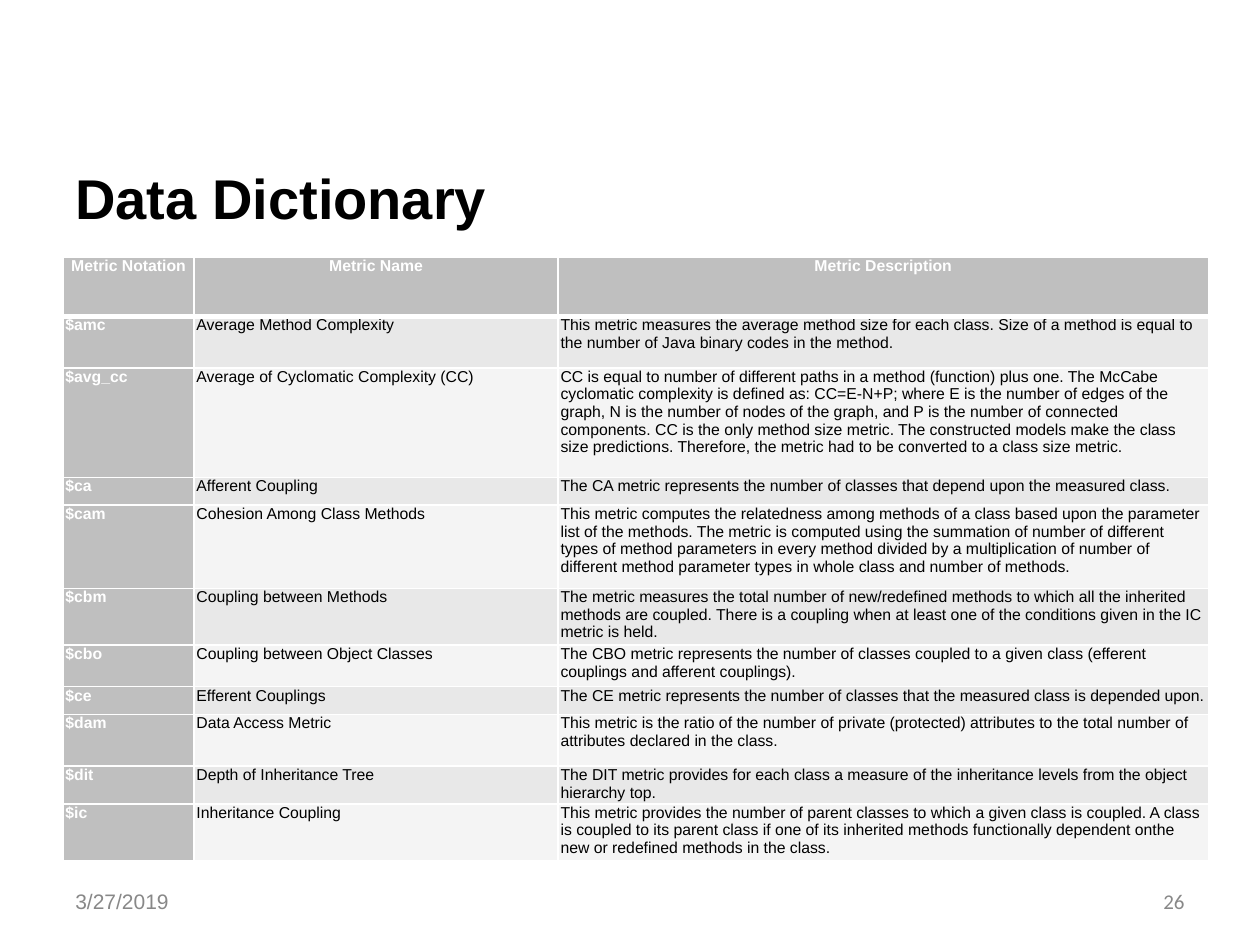
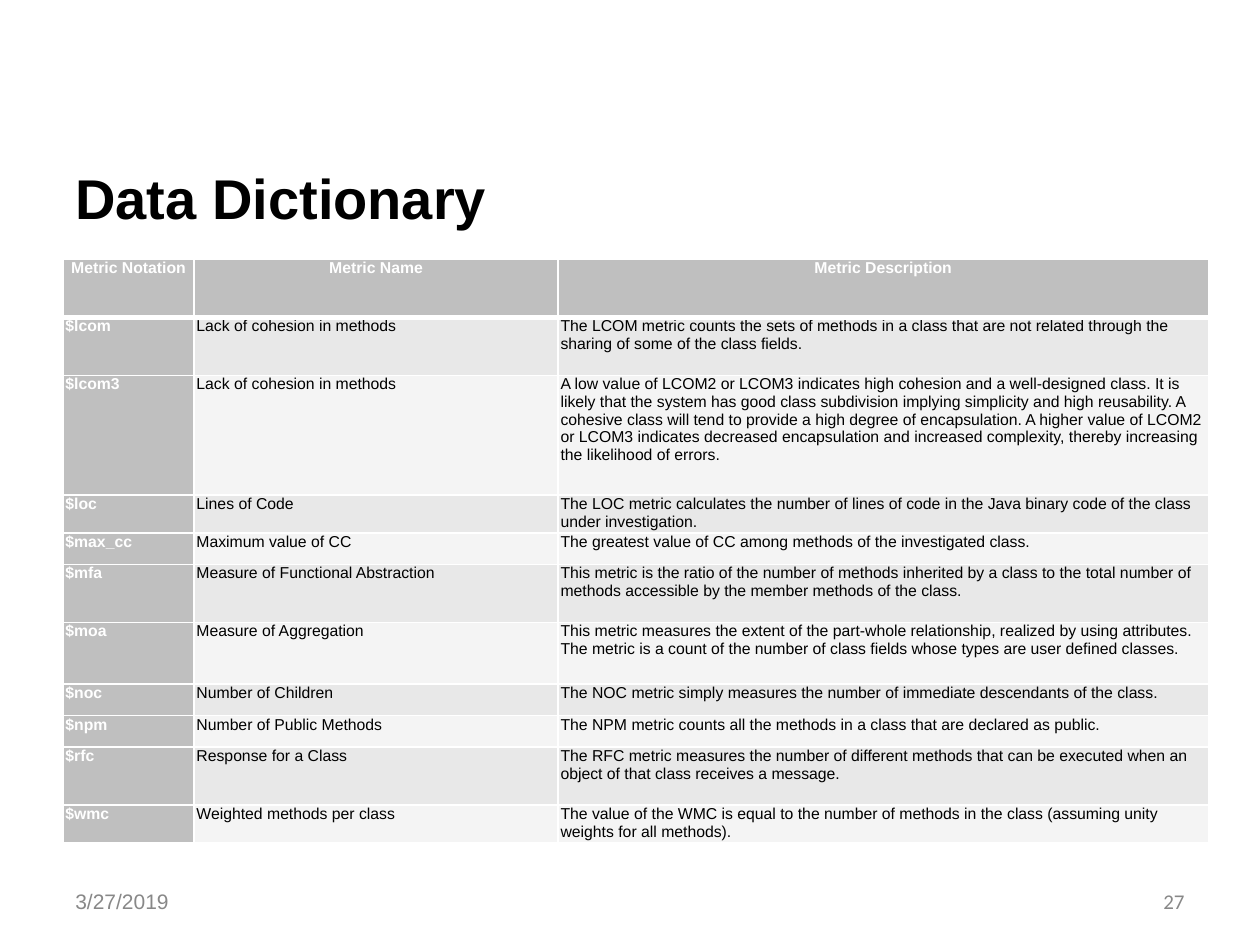
from pptx import Presentation
from pptx.dml.color import RGBColor
from pptx.enum.text import MSO_ANCHOR, PP_ALIGN
from pptx.oxml.ns import qn
from pptx.util import Inches, Pt
from lxml.etree import SubElement

COLORS = {
    "title": "000000",
    "body": "000000",
    "footer": "888888",
    "heading": "FFFFFF",
    "border": "FFFFFF",
    "key": "BFBFBF",
    "odd_row": "E8E8E8",
    "even_row": "F4F4F4",
}
COLUMN_WIDTHS = [1.04, 2.89, 5.16]
HEADINGS = ("Metric Notation", "Metric Name", "Metric Description")
LEFT = 0.5


class Deck:
    """Holds the shared style and the current slide."""

    def __init__(self):
        self.presentation = Presentation()
        self.presentation.slide_width = Inches(10)
        self.presentation.slide_height = Inches(7.5)
        self.slide = None

    def add_slide(self, title, date, number):
        blank = self.presentation.slide_layouts[6]
        self.slide = self.presentation.slides.add_slide(blank)
        self.text(title, (LEFT, 0.98, 9, 1.17), 32, "title", bold=True)
        self.text(date, (LEFT, 6.95, 2.33, 0.4), 12, "footer")
        self.text(str(number), (7.17, 6.95, 2.33, 0.4), 12, "footer",
                  font="Calibri", align=PP_ALIGN.RIGHT, inset=0.05)

    def format(self, text_frame, size, color, font="Arial", bold=False,
               align=PP_ALIGN.LEFT):
        for paragraph in text_frame.paragraphs:
            paragraph.alignment = align
            for run in paragraph.runs:
                run.font.name = font
                run.font.size = Pt(size)
                run.font.bold = bold
                run.font.color.rgb = RGBColor.from_string(COLORS[color])

    def text(self, text, box, size, color, inset=0.1, **style):
        shape = self.slide.shapes.add_textbox(*map(Inches, box))
        frame = shape.text_frame
        frame.word_wrap = True
        frame.vertical_anchor = MSO_ANCHOR.MIDDLE
        frame.margin_left = frame.margin_right = Inches(0.1)
        frame.margin_top = frame.margin_bottom = Inches(inset)
        frame.text = text
        self.format(frame, size, color, **style)

    def borders(self, cell, bottom=1):
        properties = cell._tc.get_or_add_tcPr()
        for side, width in (("L", 1), ("R", 1), ("T", 1), ("B", bottom)):
            line = SubElement(properties, qn(f"a:ln{side}"), w=str(Pt(width)))
            fill = SubElement(line, qn("a:solidFill"))
            SubElement(fill, qn("a:srgbClr"), val=COLORS["border"])

    def cell(self, cell, text, fill, bottom=1, **style):
        cell.margin_left = cell.margin_right = Inches(0.02)
        cell.margin_top = cell.margin_bottom = 0
        cell.text = text
        self.format(cell.text_frame, 9, **style)
        self.borders(cell, bottom)
        cell.fill.solid()
        cell.fill.fore_color.rgb = RGBColor.from_string(COLORS[fill])

    def metric_table(self, top, row_heights, metrics):
        frame = self.slide.shapes.add_table(
            len(metrics) + 1, len(HEADINGS), Inches(LEFT), Inches(top),
            Inches(sum(COLUMN_WIDTHS)), Inches(sum(row_heights)))
        table = frame.table
        table.horz_banding = False
        for column, width in zip(table.columns, COLUMN_WIDTHS):
            column.width = Inches(width)
        for row, height in zip(table.rows, row_heights):
            row.height = Inches(height)

        # Header row, closed by a thick line
        for column, heading in enumerate(HEADINGS):
            self.cell(table.cell(0, column), heading, "key", bottom=3,
                      color="heading", bold=True, align=PP_ALIGN.CENTER)

        # Metric rows: key column, then alternating bands
        for row, metric in enumerate(metrics, start=1):
            band = "odd_row" if row % 2 else "even_row"
            for column, text in enumerate(metric):
                is_key = column == 0
                self.cell(table.cell(row, column), text,
                          "key" if is_key else band,
                          color="heading" if is_key else "body", bold=is_key)


METRICS_A_TO_I = [
    ("$amc", "Average Method Complexity",
     "This metric measures the average method size for each class. Size of a "
     "method is equal to the number of Java binary codes in the method."),
    ("$avg_cc", "Average of Cyclomatic Complexity (CC)",
     "CC is equal to number of different paths in a method (function) plus "
     "one. The McCabe cyclomatic complexity is defined as: CC=E-N+P; where E "
     "is the number of edges of the graph, N is the number of nodes of the "
     "graph, and P is the number of connected components. CC is the only "
     "method size metric. The constructed models make the class size "
     "predictions. Therefore, the metric had to be converted to a class size "
     "metric."),
    ("$ca", "Afferent Coupling",
     "The CA metric represents the number of classes that depend upon the "
     "measured class."),
    ("$cam", "Cohesion Among Class Methods",
     "This metric computes the relatedness among methods of a class based "
     "upon the parameter list of the methods. The metric is computed using "
     "the summation of number of different types of method parameters in "
     "every method divided by a multiplication of number of different method "
     "parameter types in whole class and number of methods."),
    ("$cbm", "Coupling between Methods",
     "The metric measures the total number of new/redefined methods to which "
     "all the inherited methods are coupled. There is a coupling when at "
     "least one of the conditions given in the IC metric is held."),
    ("$cbo", "Coupling between Object Classes",
     "The CBO metric represents the number of classes coupled to a given "
     "class (efferent couplings and afferent couplings)."),
    ("$ce", "Efferent Couplings",
     "The CE metric represents the number of classes that the measured class "
     "is depended upon."),
    ("$dam", "Data Access Metric",
     "This metric is the ratio of the number of private (protected) "
     "attributes to the total number of attributes declared in the class."),
    ("$dit", "Depth of Inheritance Tree",
     "The DIT metric provides for each class a measure of the inheritance "
     "levels from the object hierarchy top."),
    ("$ic", "Inheritance Coupling",
     "This metric provides the number of parent classes to which a given "
     "class is coupled. A class is coupled to its parent class if one of its "
     "inherited methods functionally dependent onthe new or redefined "
     "methods in the class."),
]

METRICS_L_TO_W = [
    ("$lcom", "Lack of cohesion in methods",
     "The LCOM metric counts the sets of methods in a class that are not "
     "related through the sharing of some of the class fields."),
    ("$lcom3", "Lack of cohesion in methods",
     "A low value of LCOM2 or LCOM3 indicates high cohesion and a "
     "well-designed class. It is likely that the system has good class "
     "subdivision implying simplicity and high reusability. A cohesive class "
     "will tend to provide a high degree of encapsulation. A higher value of "
     "LCOM2 or LCOM3 indicates decreased encapsulation and increased "
     "complexity, thereby increasing the likelihood of errors."),
    ("$loc", "Lines of Code",
     "The LOC metric calculates the number of lines of code in the Java "
     "binary code of the class under investigation."),
    ("$max_cc", "Maximum value of CC",
     "The greatest value of CC among methods of the investigated class."),
    ("$mfa", "Measure of Functional Abstraction",
     "This metric is the ratio of the number of methods inherited by a class "
     "to the total number of methods accessible by the member methods of the "
     "class."),
    ("$moa", "Measure of Aggregation",
     "This metric measures the extent of the part-whole relationship, "
     "realized by using attributes. The metric is a count of the number of "
     "class fields whose types are user defined classes."),
    ("$noc", "Number of Children",
     "The NOC metric simply measures the number of immediate descendants of "
     "the class."),
    ("$npm", "Number of Public Methods",
     "The NPM metric counts all the methods in a class that are declared as "
     "public."),
    ("$rfc", "Response for a Class",
     "The RFC metric measures the number of different methods that can be "
     "executed when an object of that class receives a message."),
    ("$wmc", "Weighted methods per class",
     "The value of the WMC is equal to the number of methods in the class "
     "(assuming unity weights for all methods)."),
]

# Slide number, table top, row heights, metrics
PAGES = [
    (26, 2.04,
     [0.47, 0.41, 0.87, 0.22, 0.66, 0.44, 0.33, 0.22, 0.41, 0.22, 0.44],
     METRICS_A_TO_I),
    (27, 2.06,
     [0.46, 0.46, 0.95, 0.25, 0.25, 0.46, 0.49, 0.25, 0.25, 0.46, 0.25],
     METRICS_L_TO_W),
]

deck = Deck()
for number, top, row_heights, metrics in PAGES:
    deck.add_slide("Data Dictionary", "3/27/2019", number)
    deck.metric_table(top, row_heights, metrics)
deck.presentation.save("out.pptx")
